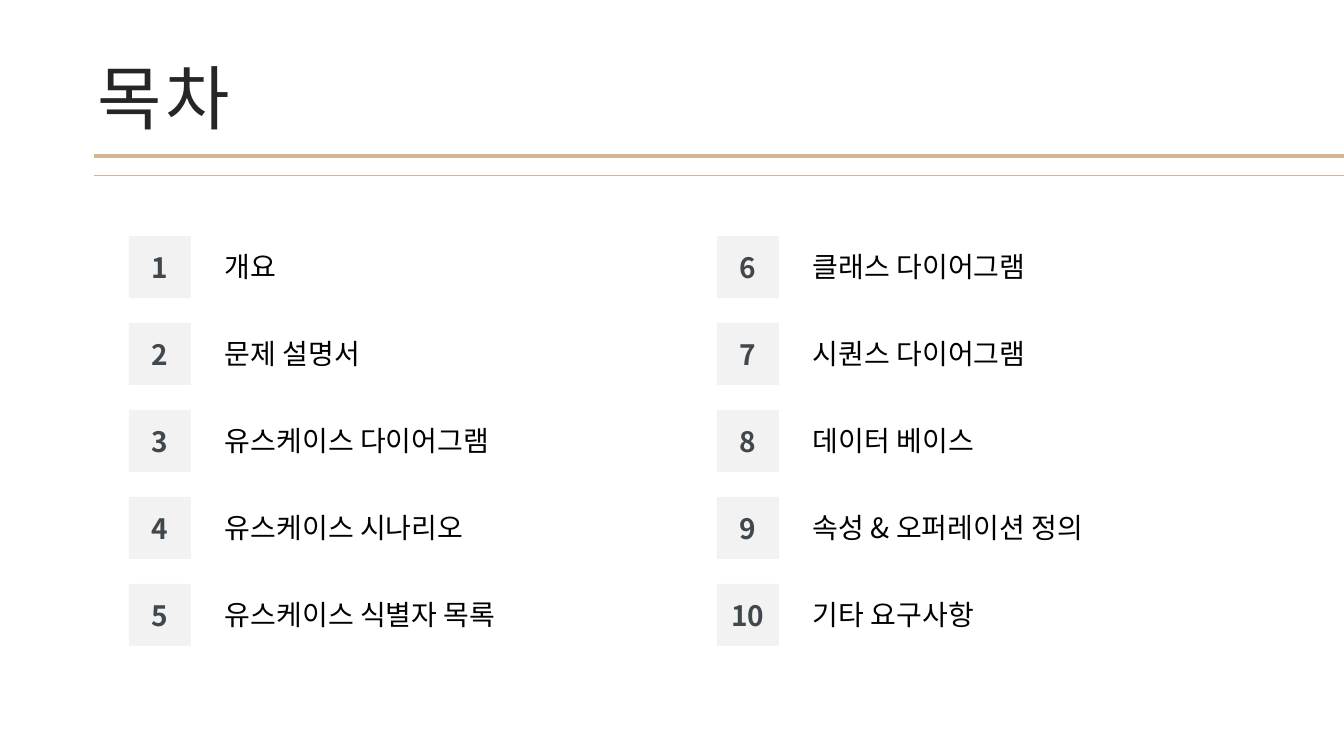
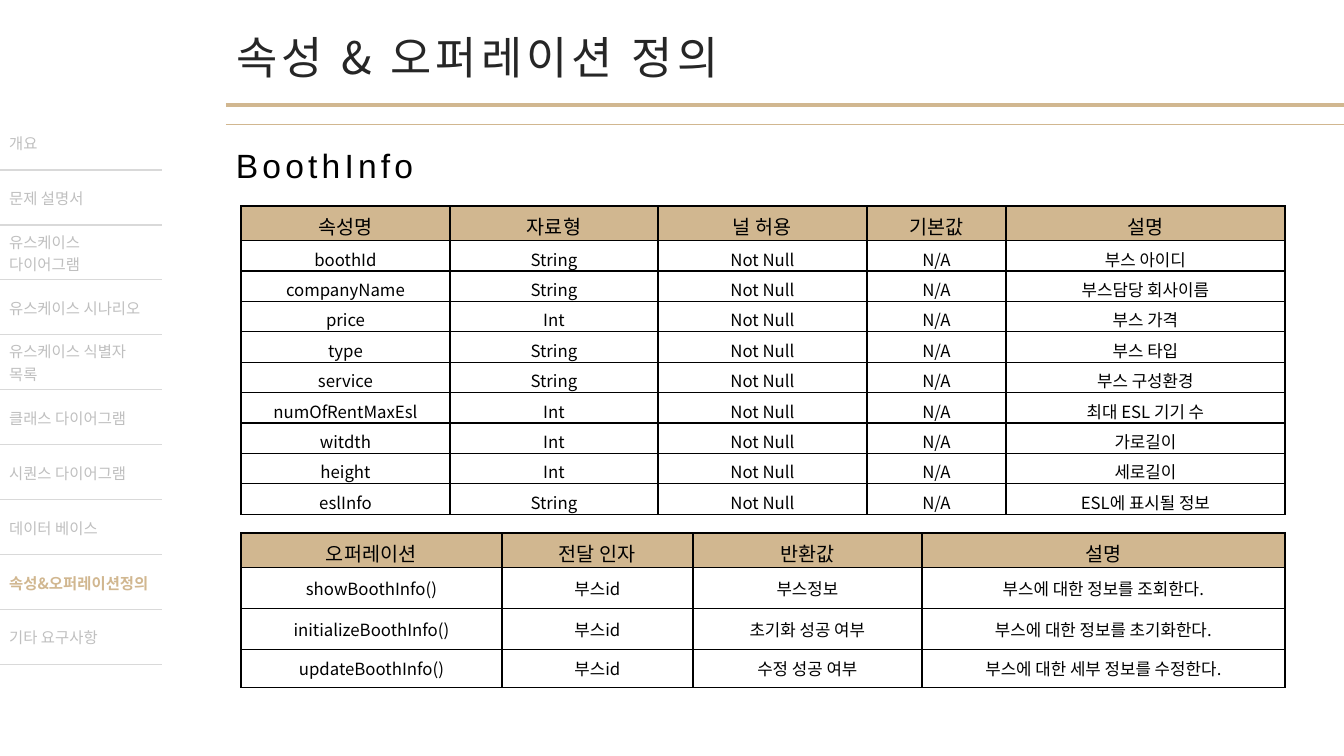
from lxml.etree import SubElement
from pptx import Presentation
from pptx.dml.color import RGBColor
from pptx.enum.shapes import MSO_CONNECTOR, MSO_SHAPE
from pptx.enum.text import MSO_ANCHOR, MSO_AUTO_SIZE, PP_ALIGN
from pptx.oxml import parse_xml
from pptx.oxml.ns import nsdecls, qn
from pptx.util import Pt

TOPICS = ["개요", "문제 설명서", "유스케이스 다이어그램", "유스케이스 시나리오",
          "유스케이스 식별자 목록", "클래스 다이어그램", "시퀀스 다이어그램",
          "데이터 베이스", "속성 & 오퍼레이션 정의", "기타 요구사항"]
CURRENT = 8
SIDEBAR = [[t] for t in TOPICS]
SIDEBAR[CURRENT] = ["속성&오퍼레이션정의"]

FIELDS = [("boothId", "String", "부스 아이디"),
          ("companyName", "String", "부스담당 회사이름"),
          ("price", "Int", "부스 가격"),
          ("type", "String", "부스 타입"),
          ("service", "String", "부스 구성환경"),
          ("numOfRentMaxEsl", "Int", "최대 ESL 기기 수"),
          ("witdth", "Int", "가로길이"),
          ("height", "Int", "세로길이"),
          ("eslInfo", "String", "ESL에 표시될 정보")]
ATTRIBUTES = [("속성명", "자료형", "널 허용", "기본값", "설명")]
ATTRIBUTES += [(name, kind, "Not Null", "N/A", note) for name, kind, note in FIELDS]
OPERATIONS = [
    ("오퍼레이션", "전달 인자", "반환값", "설명"),
    ("showBoothInfo()", "부스id", "부스정보", "부스에 대한 정보를 조회한다."),
    ("initializeBoothInfo()", "부스id", "초기화 성공 여부", "부스에 대한 정보를 초기화한다."),
    ("updateBoothInfo()", "부스id", "수정 성공 여부", "부스에 대한 세부 정보를 수정한다."),
]

KOREAN = "Noto Sans CJK KR"
TAN = RGBColor(0xD1, 0xB7, 0x90)
INK = RGBColor(0x26, 0x26, 0x26)
SLATE = RGBColor(0x40, 0x47, 0x4D)
PALE = RGBColor(0xF2, 0xF2, 0xF2)
RULE = RGBColor(0xD9, 0xD9, 0xD9)
MUTED = RGBColor(0xBF, 0xBF, 0xBF)
BLACK = RGBColor(0, 0, 0)
WHITE = RGBColor(255, 255, 255)

TITLE = dict(color=INK, spacing=3)
LABEL = dict(size=20)
NUMBER = dict(size=20, color=SLATE, bold=True, align=PP_ALIGN.CENTER)
HEADER = dict(size=14, spacing=0.1, align=PP_ALIGN.CENTER)
BODY = dict(size=12, align=PP_ALIGN.CENTER)
IDLE = dict(size=11, color=MUTED)
ACTIVE = dict(size=11, color=TAN, bold=True)

W, H = 1344, 756
NO_STYLE = "{2D5ABB26-0587-4C30-8999-92F81FD0307C}"


def px(*lengths):
    return [round(n * 914400 / 100.8) for n in lengths]


def write(tf, text, size, color=BLACK, bold=False, font=KOREAN, spacing=0,
          align=PP_ALIGN.LEFT):
    p = tf.paragraphs[0]
    p.alignment = align
    r = p.add_run()
    r.text = text
    for name, value in dict(size=Pt(size), bold=bold, name=font).items():
        setattr(r.font, name, value)
    r.font.color.rgb = color
    rPr = r.font._element
    rPr.set("spc", str(round(spacing * 100)))
    ea = SubElement(rPr, qn("a:ea"))
    ea.set("typeface", font)


def set_frame(tf):
    for name, value in dict(word_wrap=True, auto_size=MSO_AUTO_SIZE.NONE,
                            vertical_anchor=MSO_ANCHOR.MIDDLE).items():
        setattr(tf, name, value)


def add_text(slide, box, text, **style):
    tf = slide.shapes.add_textbox(*px(*box)).text_frame
    set_frame(tf)
    write(tf, text, **style)


def add_titled_slide(prs, text, box, size, rule_x, rule_y):
    """Title over a thick and a thin rule that run off the right edge."""
    slide = prs.slides.add_slide(prs.slide_layouts[5])
    for y, width in ((rule_y, 3), (rule_y + 19, 0.25)):
        line = slide.shapes.add_connector(MSO_CONNECTOR.STRAIGHT, *px(rule_x, y, W, y))
        line.line.color.rgb = TAN
        line.line.width = Pt(width)
        SubElement(line._element.spPr, qn("a:effectLst"))
    title = slide.shapes.title
    title.left, title.top, title.width, title.height = px(*box)
    set_frame(title.text_frame)
    write(title.text_frame, text, size=size, **TITLE)
    return slide


def set_borders(cell, sides, color):
    tcPr = cell._tc.get_or_add_tcPr()
    for side in sides:
        tcPr.append(parse_xml(
            f'<a:ln{side} {nsdecls("a")} w="12700"><a:solidFill>'
            f'<a:srgbClr val="{color}"/></a:solidFill></a:ln{side}>'))


def add_grid(slide, left, top, cols, heights, rows, look):
    """look(row) gives text style, fill, border sides, border colour, top and bottom margin."""
    frame = slide.shapes.add_table(len(rows), len(cols),
                                   *px(left, top, sum(cols), sum(heights)))
    table = frame.table
    table.first_row = table.horz_banding = False
    table._tbl.tblPr.find(qn("a:tableStyleId")).text = NO_STYLE
    for column, width in zip(table.columns, px(*cols)):
        column.width = width
    for row, height in zip(table.rows, px(*heights)):
        row.height = height
    for i, values in enumerate(rows):
        style, fill, sides, color, margins = look(i)
        for cell, value in zip(table.rows[i].cells, values):
            cell.vertical_anchor = MSO_ANCHOR.MIDDLE
            cell.margin_top, cell.margin_bottom = px(*margins)
            set_borders(cell, sides, color)
            if fill is None:
                cell.fill.background()
            else:
                cell.fill.solid()
                cell.fill.fore_color.rgb = fill
            write(cell.text_frame, value, **style)


def data_look(body_margins):
    def look(row):
        if row == 0:
            return HEADER, TAN, "LRTB", BLACK, (6, 0)
        return BODY, WHITE, "LRTB", BLACK, body_margins
    return look


def sidebar_look(row):
    return (ACTIVE if row == CURRENT else IDLE), None, "B", RULE, (5, 5)


def build_contents(prs):
    slide = add_titled_slide(prs, "목차", (87, 49, 203, 95), 50, 94, 156)
    side, per_column = 62, 5
    for i, topic in enumerate(TOPICS):
        col, row = divmod(i, per_column)
        x, y = 129 + 588 * col, 236 + 87 * row
        sp = slide.shapes.add_shape(MSO_SHAPE.RECTANGLE, *px(x, y, side, side))
        sp.shadow.inherit = False
        sp.fill.solid()
        sp.fill.fore_color.rgb = PALE
        sp.line.fill.background()
        set_frame(sp.text_frame)
        write(sp.text_frame, str(i + 1), **NUMBER)
        add_text(slide, (x + 86, y - 1, 344, side), topic, **LABEL)


def build_definitions(prs):
    slide = add_titled_slide(prs, TOPICS[CURRENT], (226, 25, 600, 64), 32, 226, 105)
    add_text(slide, (226, 140, 485, 50), "BoothInfo", size=24, font="Arial", spacing=3)
    add_grid(slide, 241, 206, [209, 208, 209, 139, 279],
             [34] + [30] * len(FIELDS), ATTRIBUTES, data_look((6, 0)))
    add_grid(slide, 241, 533, [261, 191, 229, 363],
             [34, 41, 41, 38], OPERATIONS, data_look((3, 3)))
    add_grid(slide, -1, 115, [163], [55] * len(SIDEBAR), SIDEBAR, sidebar_look)


def main():
    prs = Presentation()
    prs.slide_width, prs.slide_height = px(W, H)
    build_contents(prs)
    build_definitions(prs)
    prs.save("out.pptx")


if __name__ == "__main__":
    main()
